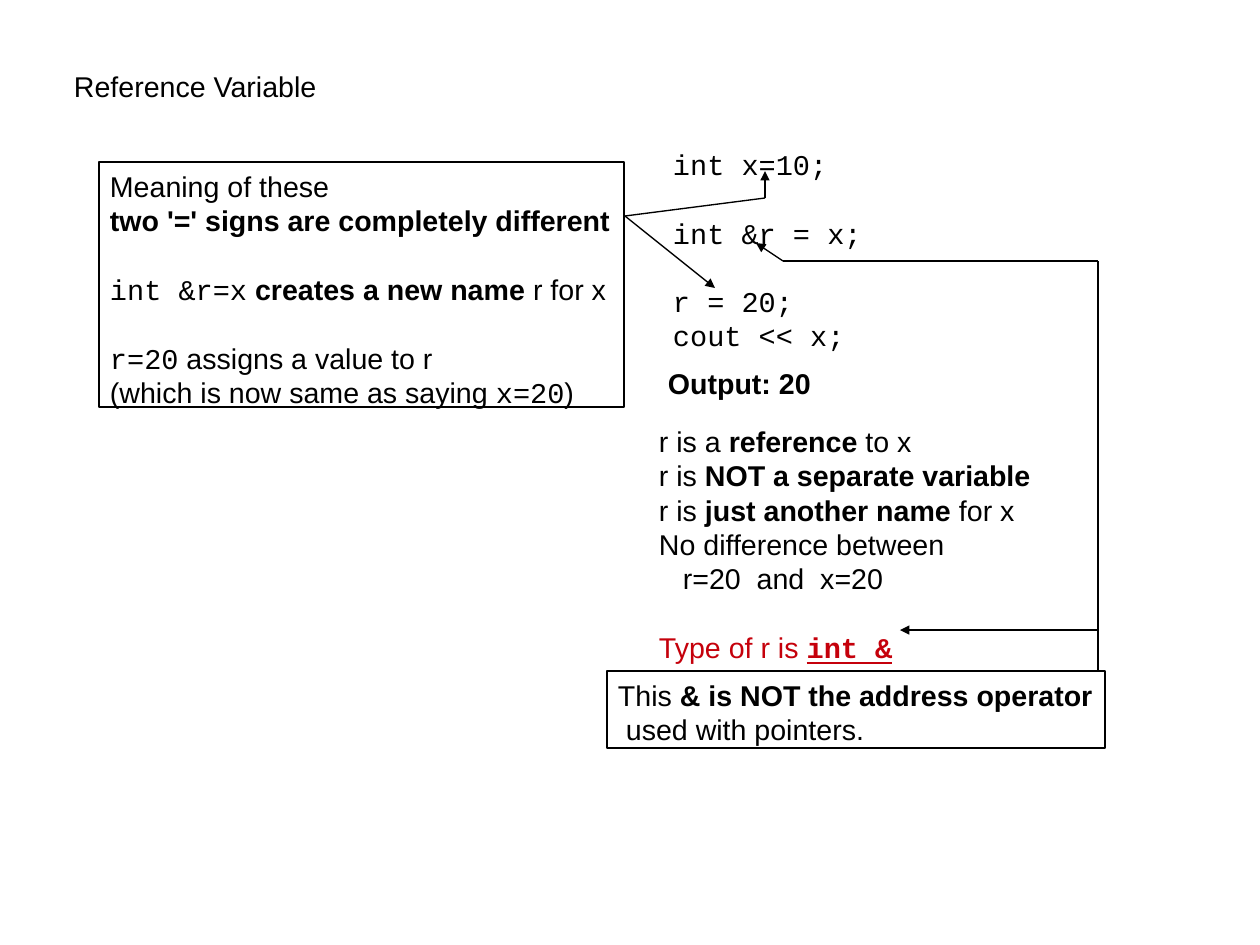
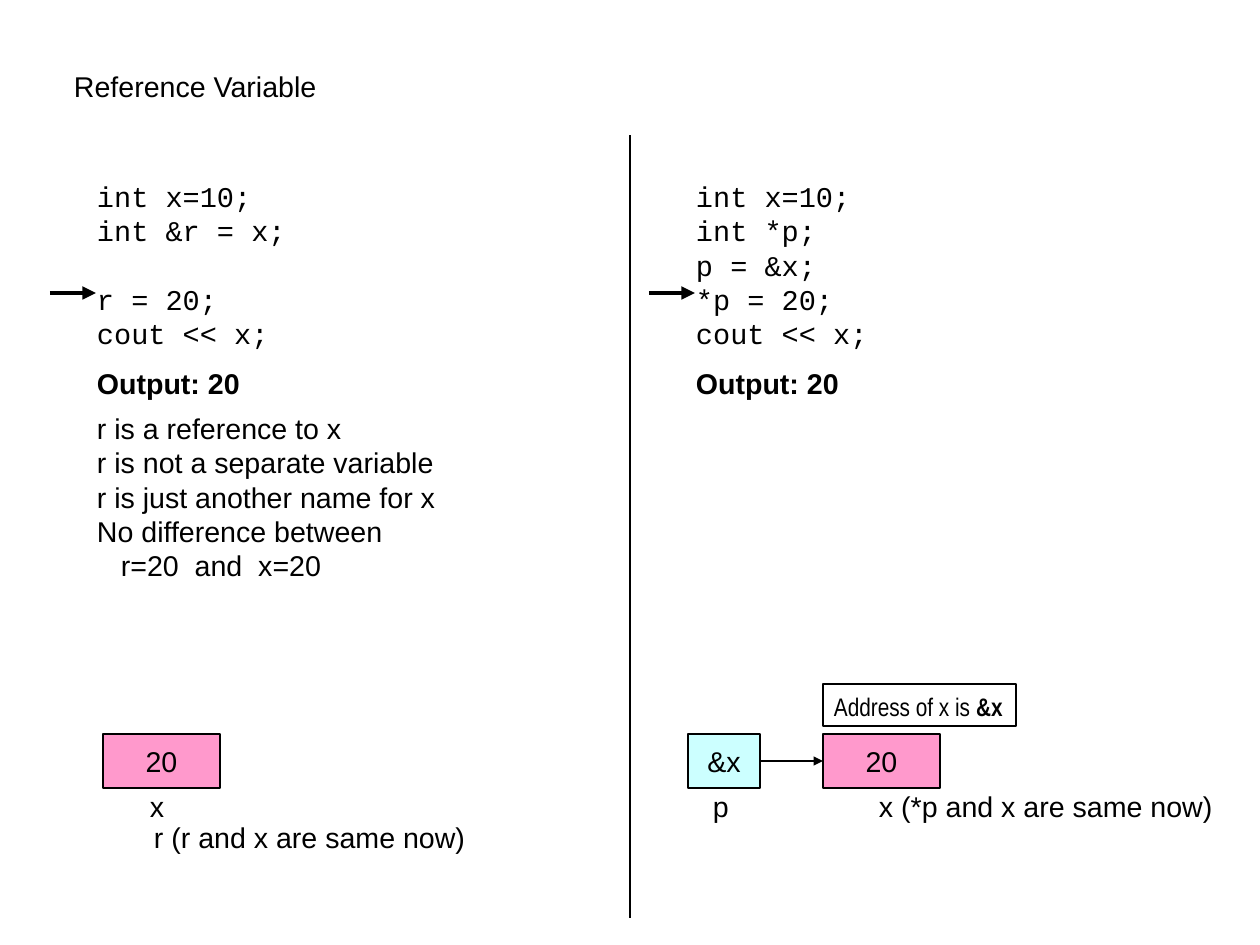
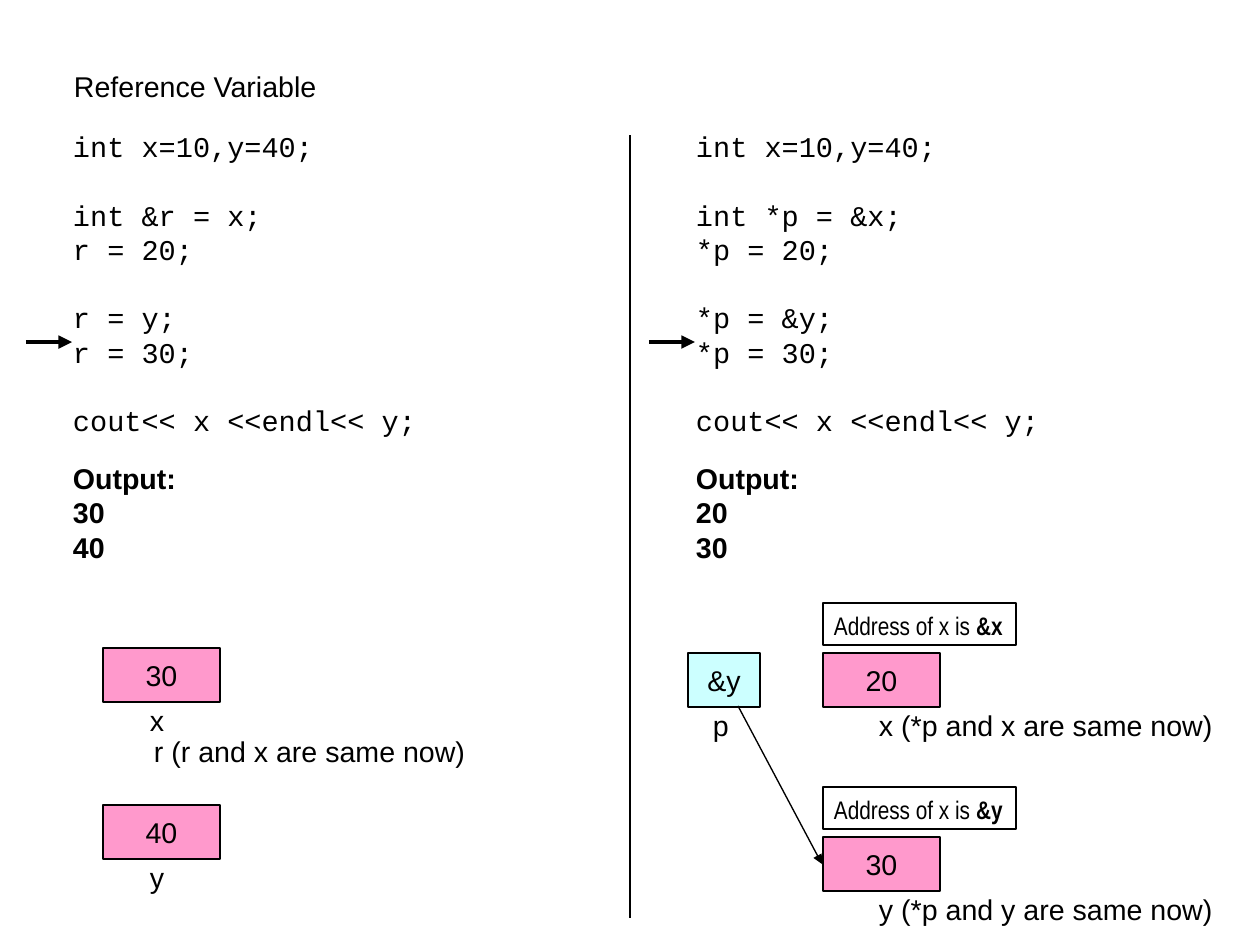
"""Three slides on C++ reference variables."""
from dataclasses import dataclass
from typing import NamedTuple, Optional, Sequence, Union

from pptx import Presentation
from pptx import util as u
from pptx.dml.color import RGBColor
from pptx.enum import shapes, text
from pptx.oxml.ns import qn
from lxml import etree

PIXEL = 8000  # EMU
PAGE_WIDTH, PAGE_HEIGHT = 1260, 945
BLACK = RGBColor(0x00, 0x00, 0x00)
RED = RGBColor(0xC5, 0x00, 0x0B)
PINK = RGBColor(0xFF, 0x99, 0xCC)
CYAN = RGBColor(0xCC, 0xFF, 0xFF)
SANS, NARROW, MONO = "Arial", "Arial Narrow", "Courier New"
THIN, THICK = 0.85, 2.83
LINE_FACTOR = 1.2
ROW = 34
CHARACTER = 17.15
SIDE = 11
LABEL_DROP, ALIAS_DROP, ADDRESS_RISE = 49, 80, 50
CELL_WIDTH, CELL_HEIGHT, POINTER_WIDTH = 117, 54, 72
LEFT_CELL, RIGHT_CELL, POINTER = 103, 823, 688


class Frame(NamedTuple):
    """Place and size in pixels."""
    left: int
    top: int
    width: int
    height: int = 43

    def emu(self) -> list[int]:
        """Return the four lengths in EMU."""
        return [length * PIXEL for length in self]


class Span(NamedTuple):
    """A piece of text whose format may differ from its block."""
    text: str
    bold: bool = False
    font: Optional[str] = None
    color: RGBColor = BLACK
    underline: bool = False


class Line(NamedTuple):
    """One paragraph of spans, with a left indent in pixels."""
    spans: Sequence[Span]
    indent: int = 0


class Arrow(NamedTuple):
    """A straight line, with or without an arrowhead."""
    x1: int
    y1: int
    x2: int
    y2: int
    head: bool = True
    weight: float = THIN


@dataclass(frozen=True)
class Listing:
    """A column of code, its output and the marked statement."""
    left: int
    top: int
    code: str
    output: str
    output_top: int
    arrow_top: int


@dataclass(frozen=True)
class Variable:
    """A memory cell with the names written below it."""
    top: int
    value: str
    name: str
    alias: str = ""


def plain(content: str) -> list[Line]:
    """Split a string into unformatted lines."""
    return [Line([Span(row)] if row else []) for row in content.split("\n")]


def write(frame, content: Union[str, Sequence[Line]], *, font: str = SANS,
          size: int = 18, bold: bool = False, align=text.PP_ALIGN.LEFT,
          anchor=text.MSO_ANCHOR.TOP, fit: bool = True,
          top: int = 6, bottom: int = 6) -> None:
    """Fill a text frame; an empty line becomes space above the next one."""
    frame.word_wrap = False
    frame.auto_size = (text.MSO_AUTO_SIZE.SHAPE_TO_FIT_TEXT if fit
                       else text.MSO_AUTO_SIZE.NONE)
    frame.vertical_anchor = anchor
    frame.margin_left = frame.margin_right = SIDE * PIXEL
    frame.margin_top, frame.margin_bottom = top * PIXEL, bottom * PIXEL
    lines = plain(content) if isinstance(content, str) else content
    para, gap = frame.paragraphs[0], 0
    for number, line in enumerate(lines):
        if not line.spans:
            gap += 1
            continue
        if number:
            para = frame.add_paragraph()
        para.alignment = align
        para.line_spacing = u.Pt(size * LINE_FACTOR)
        para.space_before = u.Pt(gap * size * LINE_FACTOR)
        gap = 0
        if line.indent:
            para._p.get_or_add_pPr().set("marL", str(line.indent * PIXEL))
        for span in line.spans:
            run = para.add_run()
            run.text = span.text
            run.font.name = span.font or font
            run.font.size = u.Pt(size)
            run.font.bold = bold or span.bold
            run.font.underline = span.underline
            run.font.color.rgb = span.color


def add_label(page, place: Frame, content: Union[str, Sequence[Line]],
              **style) -> None:
    """Add a text box without an outline."""
    write(page.shapes.add_textbox(*place.emu()).text_frame, content, **style)


def add_box(page, place: Frame, content: Union[str, Sequence[Line]],
            fill: Optional[RGBColor] = None, **style) -> None:
    """Add an outlined rectangle with text."""
    box = page.shapes.add_shape(shapes.MSO_SHAPE.RECTANGLE, *place.emu())
    box.shadow.inherit = False
    if fill is None:
        box.fill.background()
    else:
        box.fill.solid()
        box.fill.fore_color.rgb = fill
    box.line.color.rgb = BLACK
    box.line.width = u.Pt(THIN)
    write(box.text_frame, content, fit=False, top=7, bottom=0, **style)


def add_cell(page, left: int, top: int, value: str,
             width: int = CELL_WIDTH, fill: RGBColor = PINK) -> None:
    """Add a filled memory cell with a centred value."""
    box = page.shapes.add_shape(
        shapes.MSO_SHAPE.RECTANGLE,
        *Frame(left, top, width, CELL_HEIGHT).emu())
    box.shadow.inherit = False
    box.fill.solid()
    box.fill.fore_color.rgb = fill
    box.line.color.rgb = BLACK
    box.line.width = u.Pt(THIN)
    write(box.text_frame, value, fit=False, align=text.PP_ALIGN.CENTER,
          anchor=text.MSO_ANCHOR.MIDDLE)


def add_arrow(page, arrow: Arrow) -> None:
    """Add a straight connector."""
    ends = [length * PIXEL for length in arrow[:4]]
    line = page.shapes.add_connector(shapes.MSO_CONNECTOR.STRAIGHT, *ends)
    line.line.color.rgb = BLACK
    line.line.width = u.Pt(arrow.weight)
    if arrow.head:
        outline = line.line._get_or_add_ln()
        etree.SubElement(outline, qn("a:tailEnd"), type="triangle")
    etree.SubElement(line._element.spPr, qn("a:effectLst"))


def add_listing(page, listing: Listing) -> None:
    """Add code, its output and the arrow at the current statement."""
    add_code(page, listing.left, listing.top, listing.code)
    rows = listing.output.count("\n") + 1
    width = 126 if rows > 1 else 166
    add_label(page, Frame(listing.left, listing.output_top, width,
                          rows * ROW + SIDE), listing.output, bold=True)
    add_arrow(page, Arrow(listing.left - 36, listing.arrow_top,
                          listing.left + 10, listing.arrow_top,
                          weight=THICK))


def add_code(page, left: int, top: int, code: str) -> None:
    """Add a block of code in a box that fits it."""
    rows = code.split("\n")
    width = round(max(map(len, rows)) * CHARACTER) + 2 * SIDE
    add_label(page, Frame(left, top, width, len(rows) * ROW + SIDE), code,
              font=MONO, top=8)


def add_left_variable(page, variable: Variable) -> None:
    """Add a cell of the reference side with its name and alias."""
    add_cell(page, LEFT_CELL, variable.top, variable.value)
    add_label(page, Frame(139, variable.top + LABEL_DROP, 37), variable.name)
    if variable.alias:
        add_label(page, Frame(143, variable.top + ALIAS_DROP, 334),
                  variable.alias)


def add_right_variable(page, variable: Variable) -> None:
    """Add a cell of the pointer side with its address and note."""
    add_cell(page, RIGHT_CELL, variable.top, variable.value)
    add_label(page, Frame(868, variable.top + LABEL_DROP, 357),
              variable.alias)
    add_box(page, Frame(RIGHT_CELL, variable.top - ADDRESS_RISE, 193, 42),
            [Line([Span("Address of x is "),
                   Span("&" + variable.name, bold=True)])],
            font=NARROW, size=16)


def add_pointer(page, top: int, value: str) -> None:
    """Add the pointer cell and its name."""
    add_cell(page, POINTER, top, value, POINTER_WIDTH, CYAN)
    add_label(page, Frame(702, top + LABEL_DROP, 39), "p")


def add_page(deck):
    """Add a slide with the shared title."""
    page = deck.slides.add_slide(deck.slide_layouts[5])
    title = page.shapes.title
    title.left, title.top, title.width, title.height = Frame(
        63, 63, 265).emu()
    write(title.text_frame, "Reference Variable")
    return page


def add_comparison(deck, listings: Sequence[Listing],
                   left: Sequence[Variable], right: Sequence[Variable],
                   pointer: str, link: Arrow):
    """Add a slide that sets references beside pointers."""
    page = add_page(deck)
    add_arrow(page, Arrow(630, 135, 630, 918, head=False))
    for listing in listings:
        add_listing(page, listing)
    for variable in left:
        add_left_variable(page, variable)
    for variable in right:
        add_right_variable(page, variable)
    add_pointer(page, right[0].top, pointer)
    add_arrow(page, link)
    return page


def add_meaning(deck) -> None:
    """Add the slide that explains the syntax."""
    page = add_page(deck)
    add_code(page, 662, 139,
             "int x=10;\n\nint &r = x;\n\nr = 20;\ncout << x;")
    add_label(page, Frame(648, 418, 394, 238), [
        Line([Span("r is a "), Span("reference", True), Span(" to x")]),
        Line([Span("r is "), Span("NOT a separate variable", True)]),
        Line([Span("r is "), Span("just another name", True),
              Span(" for x")]),
        Line([Span("No difference between")]),
        Line([Span("r=20  and  x=20")], indent=24),
        Line([]),
        Line([Span("Type of r is ", color=RED),
              Span("int &", True, MONO, RED, True)]),
    ])
    add_label(page, Frame(657, 360, 166), "Output: 20", bold=True)
    add_box(page, Frame(607, 671, 498, 77), [
        Line([Span("This "), Span("& is NOT the address operator", True)]),
        Line([Span(" used with pointers.")]),
    ])
    add_box(page, Frame(99, 162, 525, 245), [
        Line([Span("Meaning of these")]),
        Line([Span("two '=' signs are completely different", True)]),
        Line([]),
        Line([Span("int &r=x", font=MONO), Span(" "),
              Span("creates a new name", True), Span(" r for x")]),
        Line([]),
        Line([Span("r=20", font=MONO), Span(" assigns a value to r")]),
        Line([Span("(which is now same as saying "),
              Span("x=20", font=MONO), Span(")")]),
    ])
    for arrow in (
            Arrow(783, 261, 756, 243),
            Arrow(783, 261, 1098, 261, head=False),
            Arrow(1098, 261, 1098, 671, head=False),
            Arrow(1098, 630, 900, 630),
            Arrow(765, 198, 765, 171),
            Arrow(625, 216, 715, 288),
            Arrow(765, 198, 625, 216, head=False)):
        add_arrow(page, arrow)


def add_assignment(deck) -> None:
    """Add the slide with one variable on each side."""
    page = add_comparison(
        deck,
        [Listing(86, 171, "int x=10;\nint &r = x;\n\nr = 20;\ncout << x;",
                 "Output: 20", 360, 293),
         Listing(685, 171,
                 "int x=10;\nint *p;\np = &x;\n*p = 20;\ncout << x;",
                 "Output: 20", 360, 293)],
        [Variable(734, "20", "x", "r (r and x are same now)")],
        [Variable(734, "20", "x", "x (*p and x are same now)")],
        "&x", Arrow(760, 761, 823, 761))
    notes = plain("r is a reference to x\nr is not a separate variable\n"
                  "r is just another name for x\nNo difference between")
    add_label(page, Frame(86, 405, 361, 171),
              notes + [Line([Span("r=20  and  x=20")], indent=24)])


def add_reassignment(deck) -> None:
    """Add the slide with two variables on each side."""
    start, finish = "int x=10,y=40;\n\n", "\n\ncout<< x <<endl<< y;"
    add_comparison(
        deck,
        [Listing(62, 121,
                 start + "int &r = x;\nr = 20;\n\nr = y;\nr = 30;" + finish,
                 "Output:\n30\n40", 455, 342),
         Listing(685, 121,
                 start + "int *p = &x;\n*p = 20;\n\n*p = &y;\n*p = 30;"
                 + finish, "Output:\n20\n30", 455, 342)],
        [Variable(648, "30", "x", "r (r and x are same now)"),
         Variable(805, "40", "y")],
        [Variable(653, "20", "x", "x (*p and x are same now)"),
         Variable(837, "30", "y", "y (*p and y are same now)")],
        "&y", Arrow(738, 706, 822, 864))


def main() -> None:
    """Build and save the deck."""
    deck = Presentation()
    deck.slide_width = PAGE_WIDTH * PIXEL
    deck.slide_height = PAGE_HEIGHT * PIXEL
    add_meaning(deck)
    add_assignment(deck)
    add_reassignment(deck)
    deck.save("out.pptx")


main()
